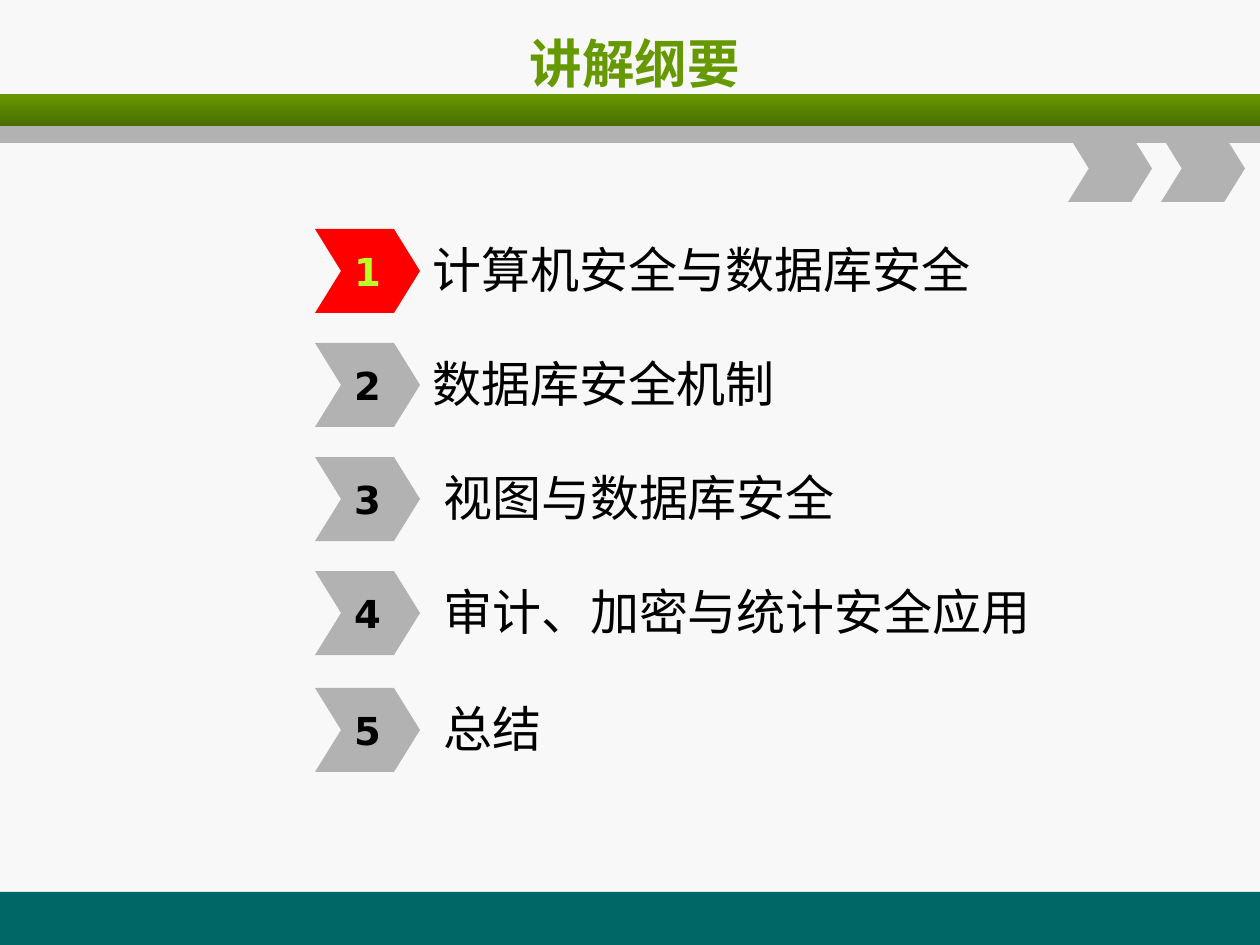
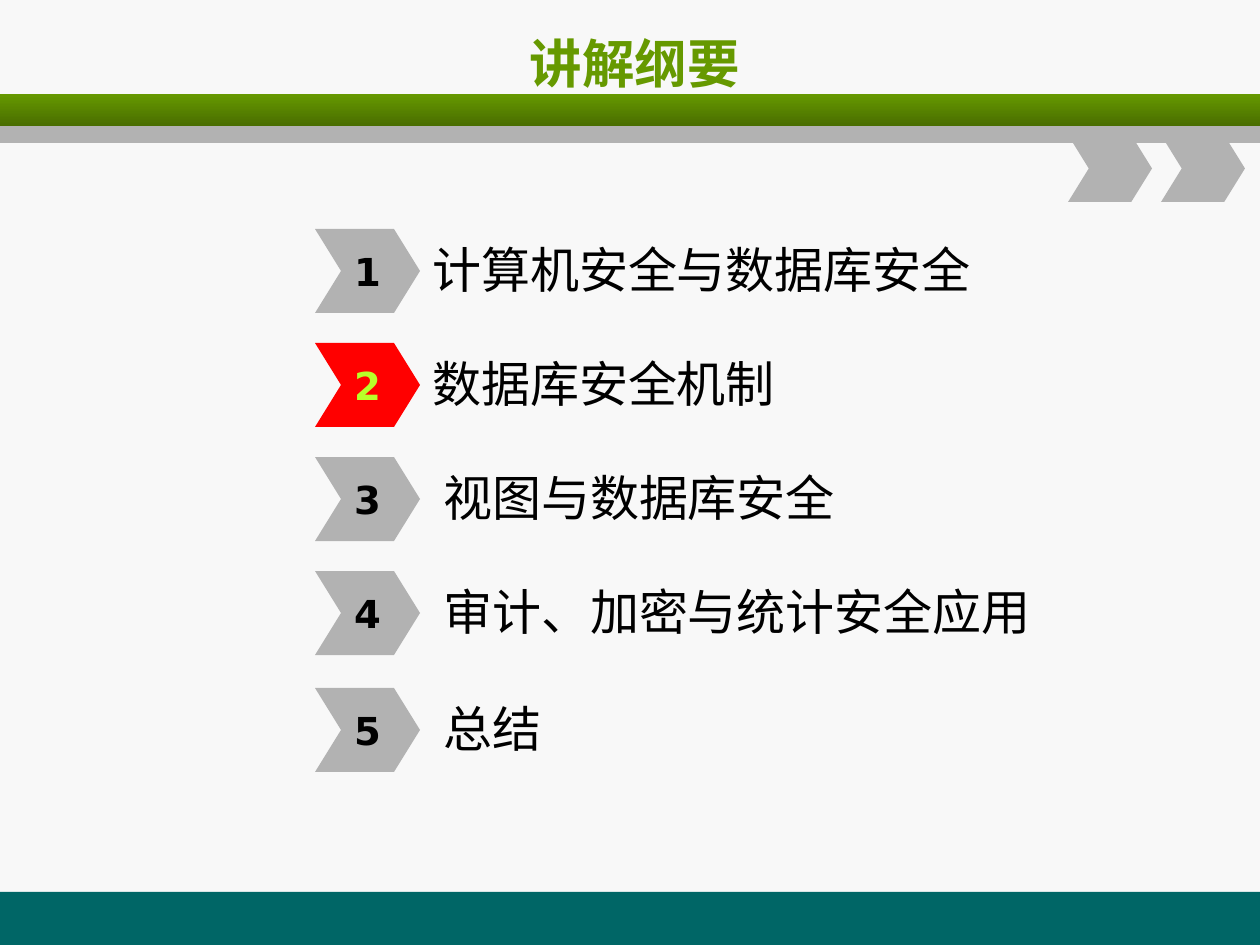
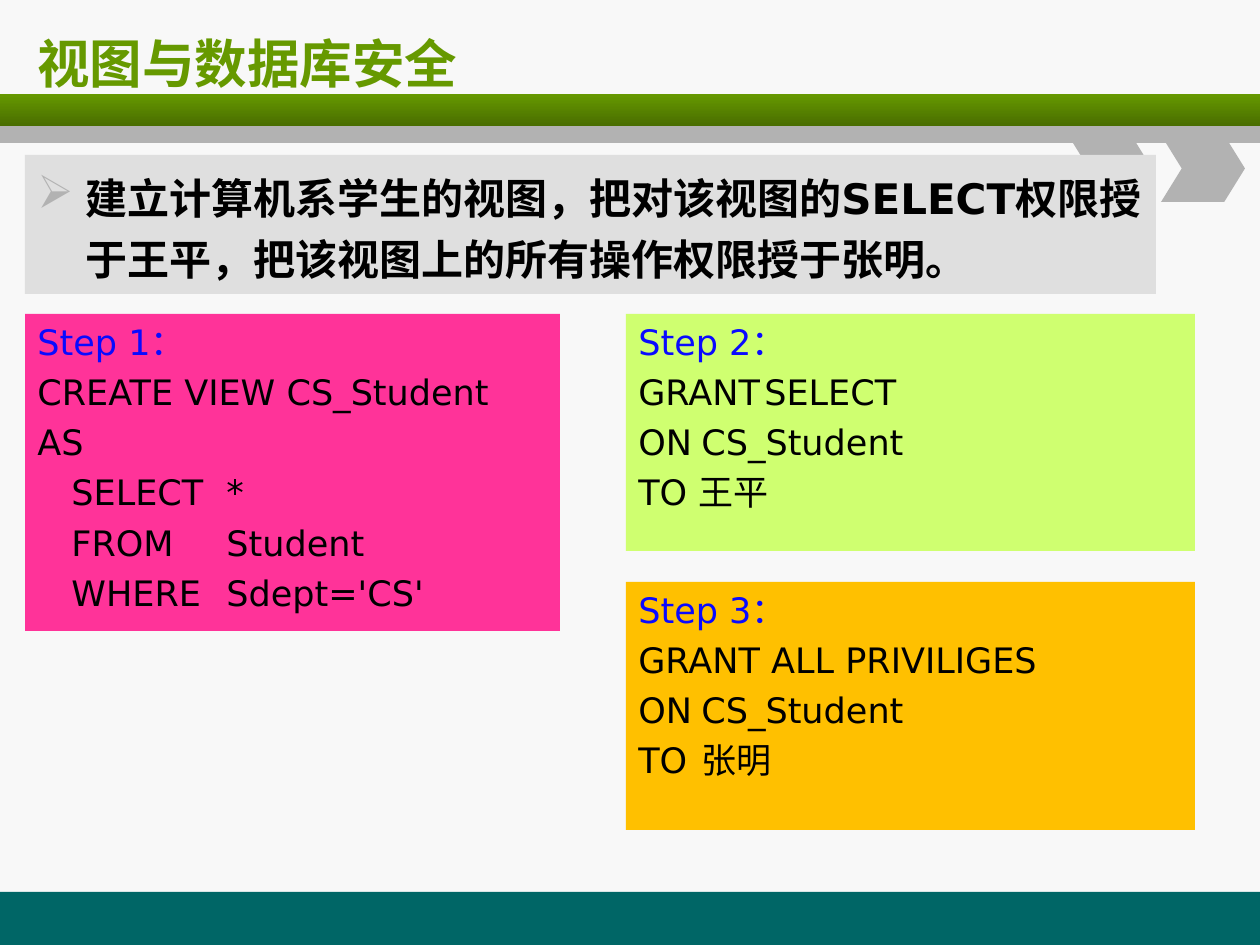
import dataclasses

import pptx
import pptx.dml.color
import pptx.enum.shapes
import pptx.enum.text
import pptx.oxml
import pptx.oxml.ns
import pptx.util

SHAPES = pptx.enum.shapes.MSO_SHAPE
ALIGN = pptx.enum.text.PP_ALIGN
ANCHOR = pptx.enum.text.MSO_ANCHOR
EMU_PER_PX = 914400 / 126
SLIDE_WIDTH, SLIDE_HEIGHT = 1260, 945


@dataclasses.dataclass(frozen=True)
class Theme:
    background: str = "F8F8F8"
    green: str = "669900"
    dark_green: str = "496D00"
    gray: str = "B2B2B2"
    pale_gray: str = "DFDFDF"
    teal: str = "006666"
    red: str = "FF0000"
    lime: str = "B8FF29"
    black: str = "000000"
    blue: str = "0A0AFF"
    pink: str = "FF3399"
    pale_lime: str = "CFFF70"
    amber: str = "FFC000"
    latin_font: str = "DejaVu Sans"
    chinese_font: str = "Noto Sans CJK SC"
    title_size: int = 30
    topic_size: int = 28
    task_size: int = 24
    number_size: int = 22
    code_size: int = 20


THEME = Theme()
TOPICS = (  # text, extra left indent
    ("计算机安全与数据库安全", 0),
    ("数据库安全机制", 0),
    ("视图与数据库安全", 11),
    ("审计、加密与统计安全应用", 11),
    ("总结", 11),
)
TOPIC_TOPS = (0, 114, 228, 342, 459)
TASK = "建立计算机系学生的视图，把对该视图的SELECT权限授于王平，把该视图上的所有操作权限授于张明。"
STEPS = (  # box, fill, heading, lines as (text, first-line indent, tab stop)
    ((25, 314, 535, 317), THEME.pink, "Step 1：", (
        ("CREATE VIEW CS_Student", 0, None),
        ("AS", 0, None),
        ("SELECT\t*", 34, 188),
        ("FROM\tStudent", 34, 169),
        ("WHERE\tSdept='CS'", 34, 185),
    )),
    ((626, 314, 569, 237), THEME.pale_lime, "Step 2：", (
        ("GRANT\tSELECT", 0, 144),
        ("ON\tCS_Student", 0, 76),
        ("TO 王平", 0, None),
    )),
    ((626, 582, 569, 248), THEME.amber, "Step 3：", (
        ("GRANT ALL PRIVILIGES", 0, None),
        ("ON\tCS_Student", 0, 76),
        ("TO\t张明", 0, 80),
    )),
)


def px(length):
    return pptx.util.Emu(round(length * EMU_PER_PX))


def rgb(color):
    return pptx.dml.color.RGBColor.from_string(color)


def add_block(slide, box, fill, preset=SHAPES.RECTANGLE, adjustment=None):
    shape = slide.shapes.add_shape(preset, *map(px, box))
    shape.shadow.inherit = False
    shape.line.fill.background()
    shape.fill.solid()
    shape.fill.fore_color.rgb = rgb(fill)
    if adjustment is not None:
        shape.adjustments[0] = adjustment
    return shape


def set_frame(shape, anchor, wrap=True):
    frame = shape.text_frame
    frame.word_wrap = wrap
    frame.vertical_anchor = anchor
    return frame


def add_run(paragraph, text, size, color, font=THEME.latin_font, bold=False):
    run = paragraph.add_run()
    run.text = text
    run.font.size = pptx.util.Pt(size)
    run.font.bold = bold
    run.font.name = font
    run.font.color.rgb = rgb(color)
    add_element(run.font._element, "a:ea", typeface=font)


def add_element(parent, tag, **attributes):
    element = pptx.oxml.parse_xml(f"<{tag} {pptx.oxml.ns.nsdecls('a')}/>")
    for name, value in attributes.items():
        element.set(name, str(value))
    parent.append(element)
    return element


def set_indent(paragraph, left, first_line):
    properties = paragraph._p.get_or_add_pPr()
    properties.set("marL", str(px(left)))
    properties.set("indent", str(px(first_line)))
    return properties


def add_text_box(slide, box):
    text_box = slide.shapes.add_textbox(*map(px, box))
    return set_frame(text_box, ANCHOR.MIDDLE)


def add_title(slide, text, box, alignment):
    paragraph = add_text_box(slide, box).paragraphs[0]
    paragraph.alignment = alignment
    add_run(paragraph, text, THEME.title_size, THEME.green, bold=True)


def add_bands(slide):
    """Place the footer, the header bands and the corner chevrons."""
    add_block(slide, (0, 892, SLIDE_WIDTH, 53), THEME.teal)
    header = add_block(slide, (0, 94, SLIDE_WIDTH, 32), THEME.green)
    header.fill.gradient()
    header.fill.gradient_angle = 270
    stops = header.fill.gradient_stops
    for stop, position, color in zip(stops, (0, 1), (THEME.green, THEME.dark_green)):
        stop.position = position
        stop.color.rgb = rgb(color)
    add_block(slide, (0, 126, SLIDE_WIDTH, 17), THEME.gray)
    for left in (1068, 1161):
        add_block(slide, (left, 135, 84, 67), THEME.gray, SHAPES.CHEVRON, 0.31)


def add_slide(presentation):
    slide = presentation.slides.add_slide(presentation.slide_layouts[6])
    slide.background.fill.solid()
    slide.background.fill.fore_color.rgb = rgb(THEME.background)
    add_bands(slide)
    return slide


def add_topic(slide, left, top, number, text, indent, active):
    paragraph = add_text_box(slide, (left + 105, top + 3, 746, 73)).paragraphs[0]
    set_indent(paragraph, indent, 0)
    add_run(paragraph, text, THEME.topic_size, THEME.black, THEME.chinese_font)
    fill, color = (THEME.red, THEME.lime) if active else (THEME.gray, THEME.black)
    marker = add_block(slide, (left, top, 105, 84), fill, SHAPES.CHEVRON, 0.31)
    paragraph = set_frame(marker, ANCHOR.MIDDLE, wrap=False).paragraphs[0]
    paragraph.alignment = ALIGN.CENTER
    add_run(paragraph, str(number), THEME.number_size, color, bold=True)


def add_outline_slide(presentation, active_number):
    slide = add_slide(presentation)
    add_title(slide, "讲解纲要", (68, 21, 1134, 84), ALIGN.CENTER)
    left, top = 315, 229
    for number, ((text, indent), offset) in enumerate(zip(TOPICS, TOPIC_TOPS), 1):
        add_topic(slide, left, top + offset, number, text, indent, number == active_number)


def add_task(slide, box):
    frame = set_frame(add_block(slide, box, THEME.pale_gray), ANCHOR.TOP)
    paragraph = frame.paragraphs[0]
    paragraph.alignment = ALIGN.LEFT
    paragraph.line_spacing = pptx.util.Pt(35)
    paragraph.space_before = pptx.util.Pt(5)
    properties = set_indent(paragraph, 48, -48)
    bullet_color = add_element(properties, "a:buClr")
    add_element(bullet_color, "a:srgbClr", val=THEME.gray)
    add_element(properties, "a:buSzPct", val=110000)
    add_element(properties, "a:buChar", char="➢")
    add_run(paragraph, TASK, THEME.task_size, THEME.black, bold=True)


def add_step(slide, box, fill, heading, lines):
    frame = set_frame(add_block(slide, box, fill), ANCHOR.TOP)
    for index, (text, indent, tab_stop) in enumerate(((heading, 0, None), *lines)):
        paragraph = frame.add_paragraph() if index else frame.paragraphs[0]
        paragraph.alignment = ALIGN.LEFT
        paragraph.space_before = pptx.util.Pt(4.7)
        properties = set_indent(paragraph, 0, indent)
        if tab_stop:
            tabs = add_element(properties, "a:tabLst")
            add_element(tabs, "a:tab", pos=px(tab_stop), algn="l")
        color = THEME.black if index else THEME.blue
        add_run(paragraph, text, THEME.code_size, color)


def add_view_slide(presentation):
    slide = add_slide(presentation)
    add_title(slide, "视图与数据库安全", (25, 21, 1203, 84), ALIGN.LEFT)
    add_task(slide, (25, 155, 1131, 139))
    for step in STEPS:
        add_step(slide, *step)


def main():
    presentation = pptx.Presentation()
    presentation.slide_width = px(SLIDE_WIDTH)
    presentation.slide_height = px(SLIDE_HEIGHT)
    for active_number in (1, 2):
        add_outline_slide(presentation, active_number)
    add_view_slide(presentation)
    presentation.save("out.pptx")


if __name__ == "__main__":
    main()
